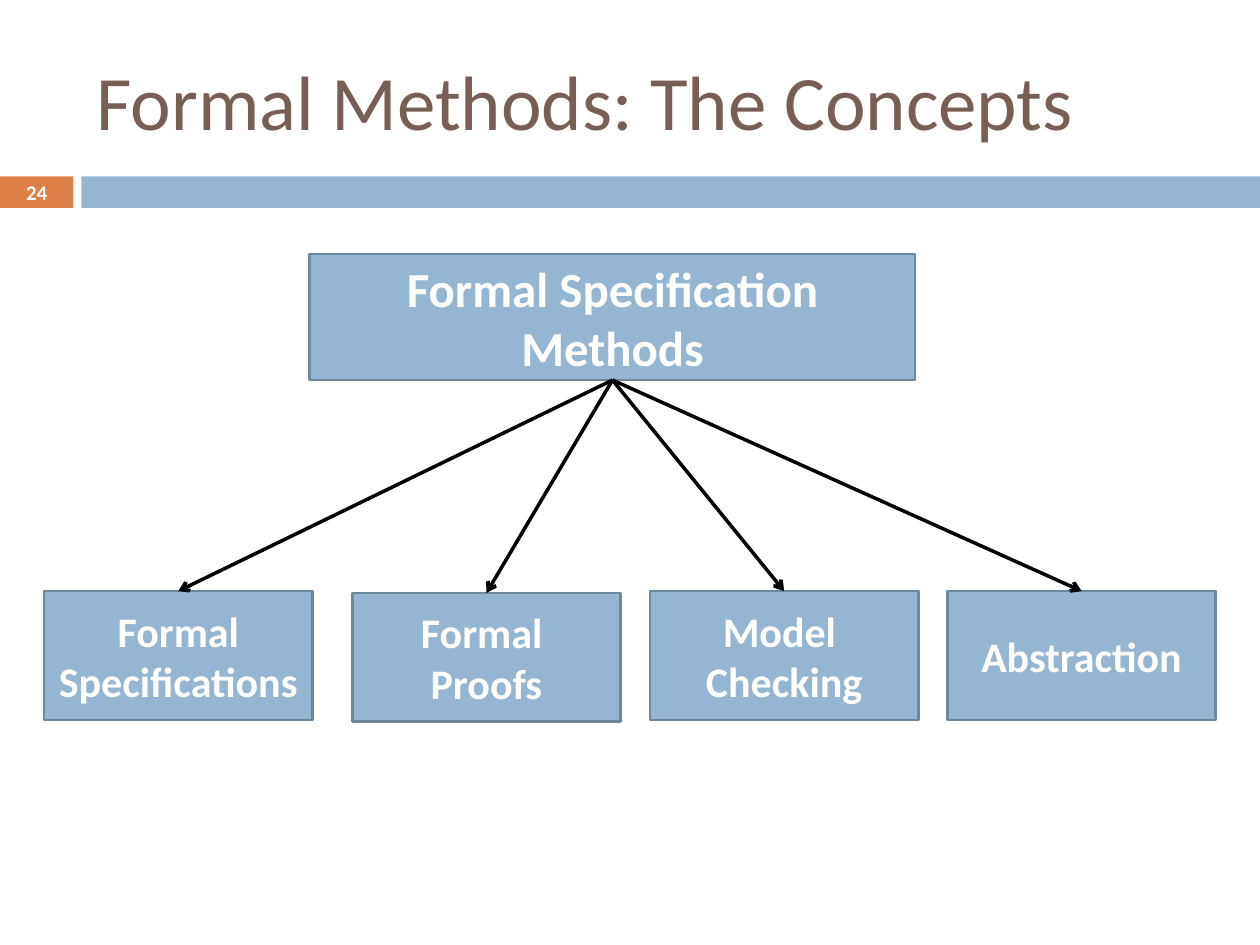
from pptx import Presentation
from pptx import util as u
from pptx.dml.color import RGBColor
from pptx.enum import shapes, text
from pptx.oxml.ns import qn
from lxml import etree

BLUE = RGBColor(0x94, 0xB6, 0xD2)
BLUE_EDGE = RGBColor(0x6D, 0x87, 0x9B)
ORANGE = RGBColor(0xDD, 0x80, 0x47)
BROWN = RGBColor(0x77, 0x5F, 0x55)
WHITE = RGBColor(0xFF, 0xFF, 0xFF)
BLACK = RGBColor(0, 0, 0)


class Deck:
    font = "Calibri"
    edge_width = 1.5
    arrow_width = 2

    def __init__(self, slide):
        self.slide = slide

    def set_text(self, shape, content, size, color, bold=True,
                 align=text.PP_ALIGN.CENTER):
        text_frame = shape.text_frame
        text_frame.word_wrap = True
        text_frame.vertical_anchor = text.MSO_ANCHOR.MIDDLE
        text_frame.text = content
        for paragraph in text_frame.paragraphs:
            paragraph.alignment = align
            for run in paragraph.runs:
                run.font.name = self.font
                run.font.size = u.Pt(size)
                run.font.bold = bold
                run.font.color.rgb = color

    def label(self, bounds, content, size, color, **style):
        shape = self.slide.shapes.add_textbox(*map(u.Pt, bounds))
        self.set_text(shape, content, size, color, **style)

    def bar(self, bounds, fill):
        shape = self.slide.shapes.add_shape(
            shapes.MSO_SHAPE.RECTANGLE, *map(u.Pt, bounds))
        shape.shadow.inherit = False
        shape.fill.solid()
        shape.fill.fore_color.rgb = fill
        shape.line.fill.background()
        return shape

    def box(self, bounds, content, size):
        shape = self.bar(bounds, BLUE)
        shape.line.color.rgb = BLUE_EDGE
        shape.line.width = u.Pt(self.edge_width)
        self.set_text(shape, content, size, WHITE)
        return shape

    def arrow(self, parent, child):
        """Run from the bottom centre of parent to the top centre of child."""
        connector = self.slide.shapes.add_connector(
            shapes.MSO_CONNECTOR.STRAIGHT, 0, 0, 0, 0)
        connector.begin_connect(parent, 2)
        connector.end_connect(child, 0)
        connector.line.color.rgb = BLACK
        connector.line.width = u.Pt(self.arrow_width)
        properties = connector._element.spPr
        line = properties.find(qn("a:ln"))
        etree.SubElement(line, qn("a:tailEnd"), type="arrow")
        etree.SubElement(properties, qn("a:effectLst"))


presentation = Presentation()
presentation.slide_width = u.Pt(720)
presentation.slide_height = u.Pt(540)
deck = Deck(presentation.slides.add_slide(presentation.slide_layouts[6]))

# Header band, title and page number
deck.bar((0, 100.8, 42, 18), ORANGE)
deck.bar((46.5, 100.8, 673.5, 18), BLUE)
deck.label((48, 18, 642, 78), "Formal Methods: The Concepts", 44, BROWN,
           bold=False, align=text.PP_ALIGN.LEFT)
deck.label((0, 100, 42, 19.5), "24", 11.9, WHITE)

# Root of the tree
root = deck.box((177, 145.2, 346, 72), "Formal Specification Methods", 28)

# Branches, each joined to the root
BRANCHES = [
    (25.2, 337.8, "Formal Specifications"),
    (201.3, 338.8, "Formal \nProofs"),
    (371.4, 337.8, "Model \nChecking"),
    (541.4, 337.8, "Abstraction"),
]
branches = [deck.box((left, top, 153.4, 73.6), content, 24)
            for left, top, content in BRANCHES]
for branch in branches:
    deck.arrow(root, branch)

presentation.save("out.pptx")
